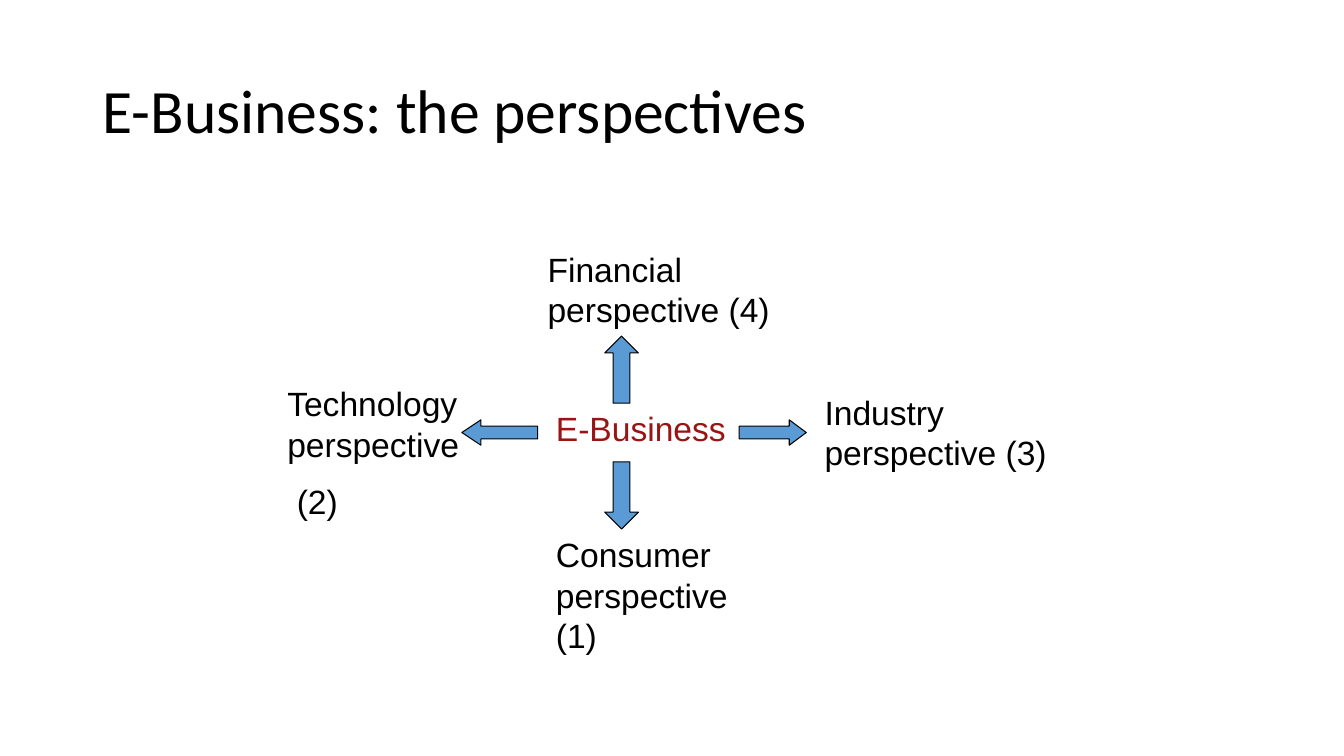
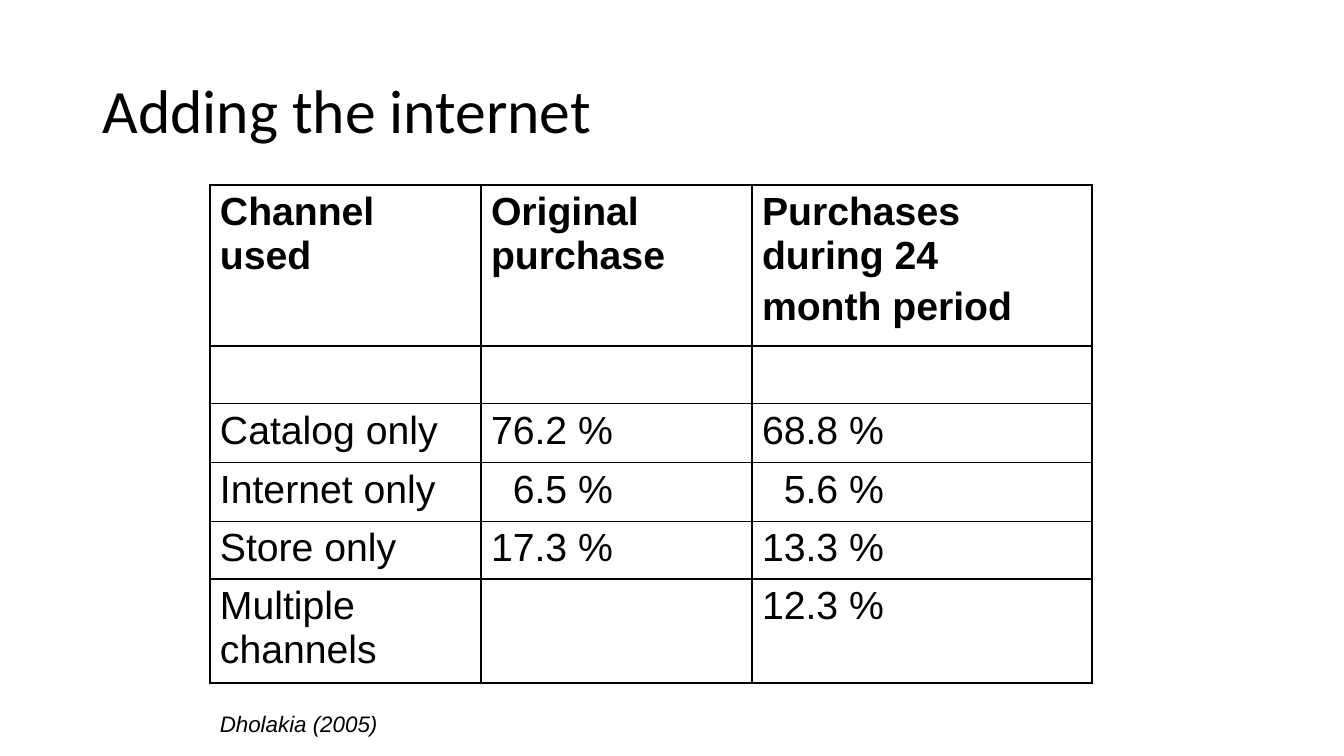
from dataclasses import dataclass

from lxml import etree
from pptx import Presentation
from pptx import util as u
from pptx.dml.color import RGBColor
from pptx.enum import shapes, text
from pptx.oxml import ns


@dataclass(frozen=True)
class Theme:
    ink: str = "000000"
    accent: str = "991414"
    arrow: str = "5B9BD5"
    heading_font: str = "Calibri"
    body_font: str = "Arial"
    title: float = 44
    label: float = 24
    cell: float = 28
    source: float = 16
    thin: float = 1
    thick: float = 2.25
    outline: float = 0.75


class Deck:
    """Hold the style and the current slide, and draw each kind of element."""

    def __init__(self, theme):
        self.theme = theme
        self.prs = Presentation()
        self.prs.slide_width, self.prs.slide_height = u.Cm(33.87), u.Cm(19.05)
        self.slide = None

    def fill_text(self, frame, content, size, color=None, font=None, indents=(), gap=0, **formats):
        looks = {"name": font or self.theme.body_font, "size": u.Pt(size), **formats}
        for number, line in enumerate(content.split("\n")):
            paragraph = frame.add_paragraph() if number else frame.paragraphs[0]
            if number < len(indents):
                properties = paragraph._p.get_or_add_pPr()
                properties.set("marL", str(u.Cm(indents[number])))
                properties.set("indent", "0")
            paragraph.space_before = u.Pt(gap if number else 0)
            run = paragraph.add_run()
            run.text = line
            for attribute, value in looks.items():
                setattr(run.font, attribute, value)
            run.font.color.rgb = RGBColor.from_string(color or self.theme.ink)

    def new_slide(self, title):
        self.slide = self.prs.slides.add_slide(self.prs.slide_layouts[5])
        heading = self.slide.shapes.title
        place = {"left": 2.33, "top": 1.01, "width": 29.21, "height": 3.68}
        for attribute, value in place.items():
            setattr(heading, attribute, u.Cm(value))
        frame = heading.text_frame
        frame.auto_size = text.MSO_AUTO_SIZE.NONE
        frame.vertical_anchor = text.MSO_ANCHOR.MIDDLE
        self.fill_text(frame, title, self.theme.title, font=self.theme.heading_font)
        frame.paragraphs[0].alignment = text.PP_ALIGN.LEFT
        frame.paragraphs[0].line_spacing = 0.9

    def label(self, content, box, size=None, **formats):
        frame = self.slide.shapes.add_textbox(*map(u.Cm, box)).text_frame
        frame.word_wrap = True
        frame.auto_size = text.MSO_AUTO_SIZE.SHAPE_TO_FIT_TEXT
        size = size or self.theme.label
        self.fill_text(frame, content, size, gap=size / 2, **formats)

    def arrow(self, preset, box, head=0.5):
        arrow = self.slide.shapes.add_shape(preset, *map(u.Cm, box))
        arrow.shadow.inherit = False
        arrow.adjustments[0], arrow.adjustments[1] = 0.5, head
        arrow.fill.solid()
        arrow.fill.fore_color.rgb = RGBColor.from_string(self.theme.arrow)
        arrow.line.color.rgb = RGBColor.from_string(self.theme.ink)
        arrow.line.width = u.Pt(self.theme.outline)

    def borders(self, cell, outer_sides):
        properties = cell._tc.get_or_add_tcPr()
        for position, side in enumerate("LRTB"):
            weight = self.theme.thick if side in outer_sides else self.theme.thin
            line = etree.Element(ns.qn(f"a:ln{side}"), w=str(u.Pt(weight)))
            fill = etree.SubElement(line, ns.qn("a:solidFill"))
            etree.SubElement(fill, ns.qn("a:srgbClr"), val=self.theme.ink)
            properties.insert(position, line)

    def table(self, rows, left, top, widths, heights):
        size = self.theme.cell
        grid = self.slide.shapes.add_table(
            len(heights), len(widths), *map(u.Cm, (left, top, sum(widths), sum(heights)))
        ).table
        grid.first_row = grid.horz_banding = False
        for column, width in zip(grid.columns, widths):
            column.width = u.Cm(width)
        for row, height in zip(grid.rows, heights):
            row.height = u.Cm(height)
        for r, values in enumerate(rows):
            for c, value in enumerate(values):
                cell = grid.cell(r, c)
                cell.fill.background()
                edges = {"L": c == 0, "R": c == len(widths) - 1,
                         "T": r == 0, "B": r == len(heights) - 1}
                self.borders(cell, [side for side, outer in edges.items() if outer])
                if value is None:
                    continue
                is_share = isinstance(value, float)
                self.fill_text(cell.text_frame, f"{value} %" if is_share else value, size,
                               bold=r == 0, gap=size / 5,
                               indents=(0.55,) if is_share and value < 10 else ())
                for paragraph in cell.text_frame.paragraphs:
                    paragraph.alignment = text.PP_ALIGN.JUSTIFY if c else text.PP_ALIGN.LEFT


def perspectives(deck):
    deck.new_slide("E-Business: the perspectives")
    deck.label("Technology perspective\n(2)", (6.99, 9.53, 6.78, 3.84), indents=(0, 0.24))
    deck.label("Financial perspective (4)", (13.55, 6.14, 6.99, 2.31))
    deck.label("Industry perspective (3)", (20.53, 9.74, 7.62, 2.31))
    deck.label("Consumer perspective (1)", (13.76, 13.34, 5.08, 3.33))
    deck.label("E-Business", (13.76, 10.16, 4.87, 1.27), color=deck.theme.accent)
    preset = shapes.MSO_SHAPE
    deck.arrow(preset.RIGHT_ARROW, (18.63, 10.58, 1.69, 0.64), head=0.67)
    deck.arrow(preset.UP_ARROW, (15.24, 8.47, 0.85, 1.69))
    deck.arrow(preset.LEFT_ARROW, (11.64, 10.58, 1.91, 0.64), head=0.75)
    deck.arrow(preset.DOWN_ARROW, (15.24, 11.64, 0.85, 1.69))


def channels(deck):
    deck.new_slide("Adding the internet")
    purchases = [
        ("Channel used", "Original purchase", "Purchases during 24\nmonth period"),
        (None, None, None),
        ("Catalog only", 76.2, 68.8),
        ("Internet only", 6.5, 5.6),
        ("Store only", 17.3, 13.3),
        ("Multiple channels", None, 12.3),
    ]
    deck.table(purchases, 5.29, 4.66, (6.83, 6.83, 8.57),
               (4.06, 1.45, 1.49, 1.48, 1.45, 2.62))
    deck.label("Dholakia (2005)", (5.29, 17.78, 7.2, 0.94),
               size=deck.theme.source, italic=True)


def main():
    deck = Deck(Theme())
    perspectives(deck)
    channels(deck)
    deck.prs.save("out.pptx")


if __name__ == "__main__":
    main()
